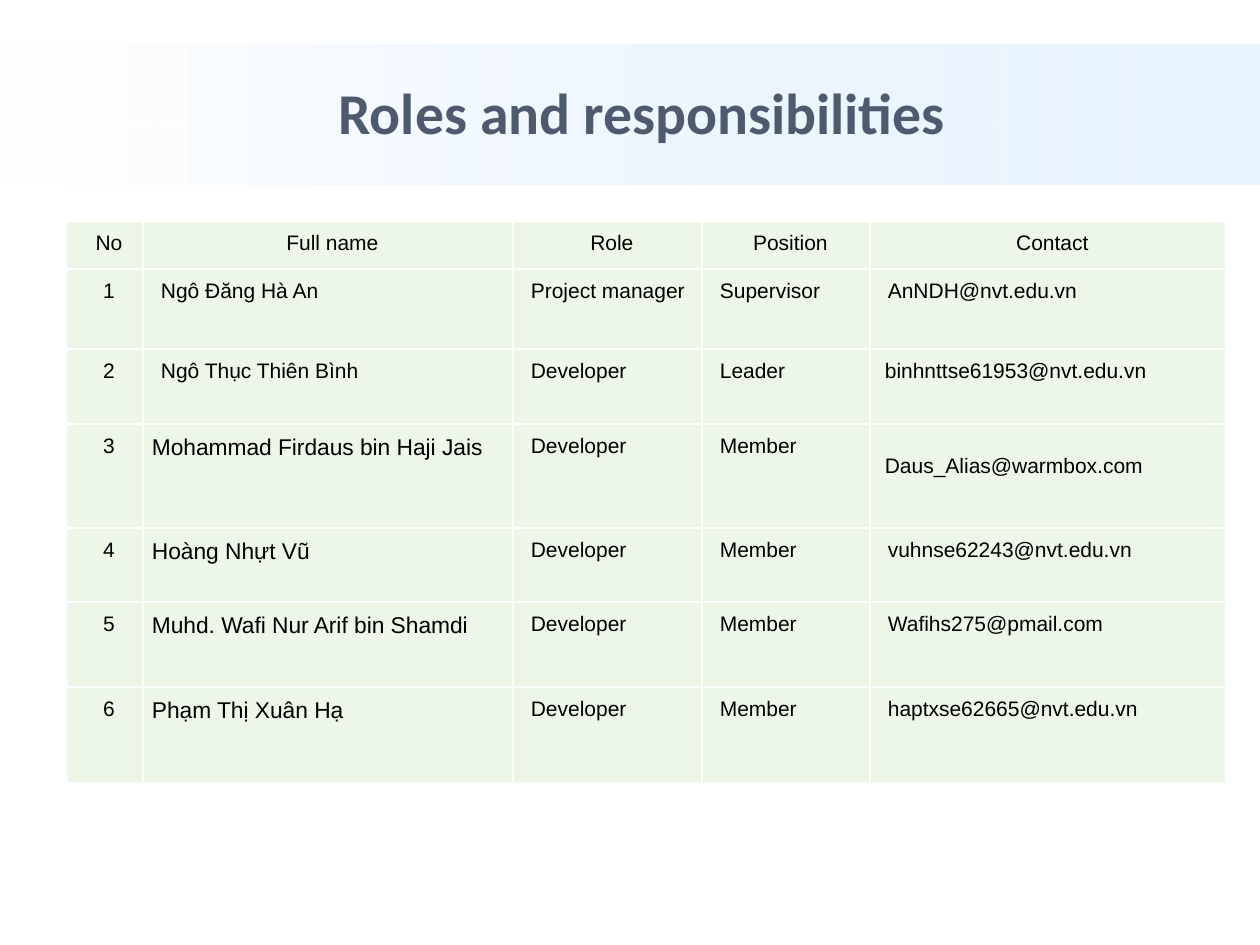
from lxml import etree
from pptx import Presentation
from pptx.dml.color import RGBColor
from pptx.enum.shapes import MSO_SHAPE
from pptx.enum.text import MSO_ANCHOR, PP_ALIGN
from pptx.oxml.ns import qn
from pptx.util import Emu, Pt

RECTANGLE = MSO_SHAPE.RECTANGLE
MIDDLE = MSO_ANCHOR.MIDDLE
CENTER, LEFT = PP_ALIGN.CENTER, PP_ALIGN.LEFT

WHITE = RGBColor(0xFF, 0xFF, 0xFF)
BLACK = RGBColor(0x00, 0x00, 0x00)
SLATE = RGBColor(0x4E, 0x5B, 0x6F)
SKY = RGBColor(0xD6, 0xEC, 0xFF)
PALE_GREEN = RGBColor(0xEC, 0xF7, 0xE8)

EMU_PER_PX = 914400 / 126
CELL_MARGIN = 9
TEXT_INDENT = 9
NAME_COLUMN, CONTACT_COLUMN = 1, 4

COLUMN_WIDTHS = [77, 370, 189, 168, 356]
ROW_HEIGHTS = [48, 80, 75, 104, 74, 85, 96]
ROWS = [
    ["No", "Full name", "Role", "Position", "Contact"],
    ["1", "Ngô Đăng Hà An", "Project manager", "Supervisor", "AnNDH@nvt.edu.vn"],
    ["2", "Ngô Thục Thiên Bình", "Developer", "Leader", "binhnttse61953@nvt.edu.vn"],
    ["3", "Mohammad Firdaus bin Haji Jais", "Developer", "Member", "Daus_Alias@warmbox.com"],
    ["4", "Hoàng Nhựt Vũ", "Developer", "Member", "vuhnse62243@nvt.edu.vn"],
    ["5", "Muhd. Wafi Nur Arif bin Shamdi", "Developer", "Member", "Wafihs275@pmail.com"],
    ["6", "Phạm Thị Xuân Hạ", "Developer", "Member", "haptxse62665@nvt.edu.vn"],
]


def px(length):
    return Emu(round(length * EMU_PER_PX))


def add_borders(cell):
    """Draw a 1 pt white line on each side; call before the cell gets its fill."""
    properties = cell._tc.get_or_add_tcPr()
    for side in ("lnL", "lnR", "lnT", "lnB"):
        line = etree.SubElement(properties, qn(f"a:{side}"), w=str(Pt(1)))
        fill = etree.SubElement(line, qn("a:solidFill"))
        etree.SubElement(fill, qn("a:srgbClr"), val=str(WHITE))


presentation = Presentation()
presentation.slide_width = px(1260)
presentation.slide_height = px(945)
slide = presentation.slides.add_slide(presentation.slide_layouts[5])

# Title over a fading band
title = slide.shapes.title
title.left, title.top, title.width, title.height = px(91), px(43), px(1102), px(137)
title.text_frame.vertical_anchor = MIDDLE
paragraph = title.text_frame.paragraphs[0]
paragraph.alignment = CENTER
run = paragraph.add_run()
run.text = "Roles and responsibilities"
run.font.name = "Calibri"
run.font.size = Pt(33)
run.font.bold = True
run.font.color.rgb = SLATE

band = slide.shapes.add_shape(RECTANGLE, px(0), px(45), px(1260), px(140))
band.shadow.inherit = False
band.line.fill.background()
band.fill.gradient()
band.fill.gradient_angle = 0
for stop, color in zip(band.fill.gradient_stops, (WHITE, SKY)):
    stop.color.rgb = color
sky_color = list(band.element.iter(qn("a:srgbClr")))[-1]
etree.SubElement(sky_color, qn("a:alpha"), val="53000")
title.element.addprevious(band.element)

# Team table
table = slide.shapes.add_table(
    len(ROWS), len(COLUMN_WIDTHS), px(66), px(221),
    px(sum(COLUMN_WIDTHS)), px(sum(ROW_HEIGHTS)),
).table
table.first_row = False
table.horz_banding = False
for column, width in zip(table.columns, COLUMN_WIDTHS):
    column.width = px(width)
for row, height in zip(table.rows, ROW_HEIGHTS):
    row.height = px(height)

for row_index, values in enumerate(ROWS):
    for column_index, value in enumerate(values):
        large_name = column_index == NAME_COLUMN and row_index >= 3
        indent = 0 if large_name else TEXT_INDENT
        if column_index == CONTACT_COLUMN and row_index in (2, 3):
            indent = 6
        lowered = column_index == CONTACT_COLUMN and row_index == 3

        cell = table.cell(row_index, column_index)
        add_borders(cell)
        cell.fill.solid()
        cell.fill.fore_color.rgb = PALE_GREEN
        cell.margin_left = cell.margin_right = cell.margin_bottom = px(CELL_MARGIN)
        cell.margin_top = px(CELL_MARGIN + 20 if lowered else CELL_MARGIN)

        paragraph = cell.text_frame.paragraphs[0]
        paragraph.alignment = CENTER if row_index == 0 or column_index == 0 else LEFT
        paragraph.line_spacing = 1.07
        paragraph.space_after = Pt(8)
        paragraph._p.get_or_add_pPr().set("marL", str(px(indent)))
        run = paragraph.add_run()
        run.text = value
        run.font.name = "Arial"
        run.font.size = Pt(13 if large_name else 12)
        run.font.color.rgb = BLACK

presentation.save("out.pptx")
